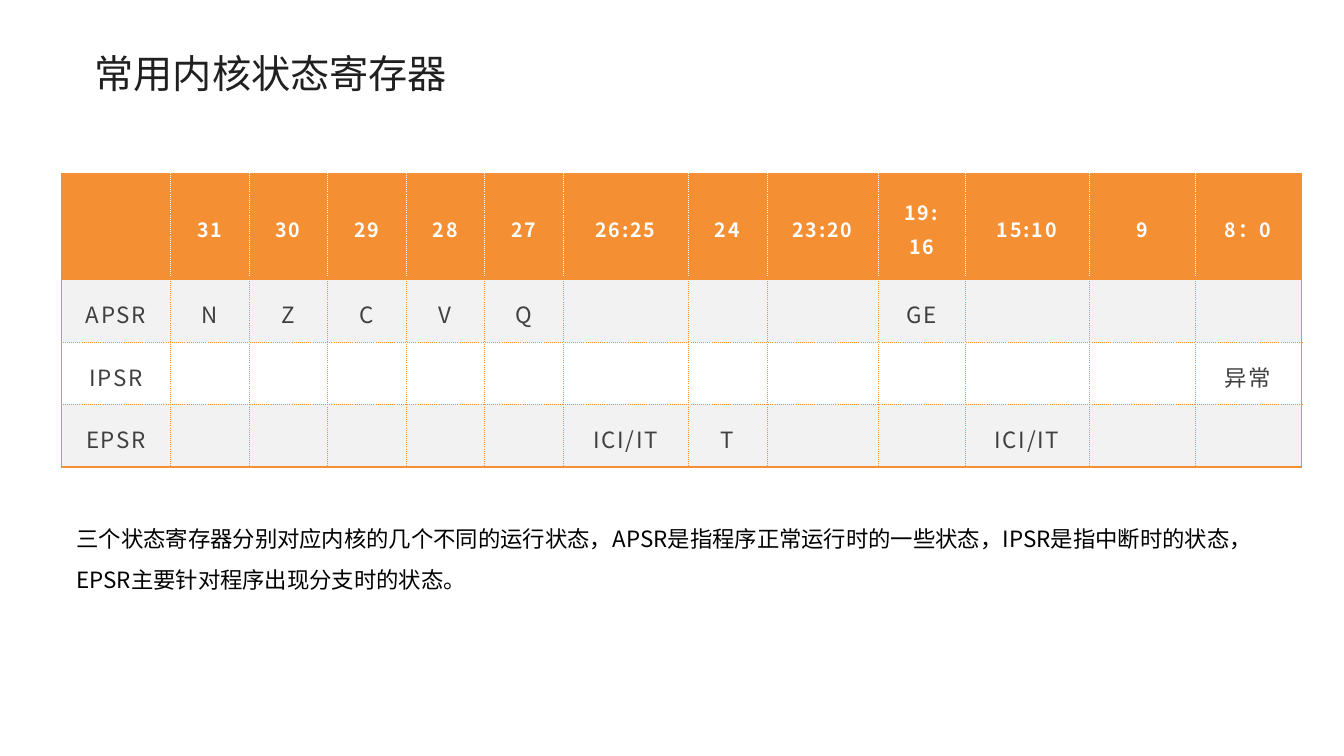
import pptx
import pptx.util
import pptx.dml.color
import pptx.enum.text
from pptx.util import Cm
from pptx.oxml.ns import qn
import lxml.etree

FONT = "Noto Sans CJK SC"
COLORS = {
    "title": "202020",
    "accent": "F58F33",
    "white": "FFFFFF",
    "band": "F2F2F2",
    "cell": "404040",
    "body": "000000",
}
TITLE = "常用内核状态寄存器"
SUMMARY = (
    "三个状态寄存器分别对应内核的几个不同的运行状态，APSR是指程序正常运行时的一些状态，"
    "IPSR是指中断时的状态，EPSR主要针对程序出现分支时的状态。"
)
BIT_FIELDS = ["", "31", "30", "29", "28", "27", "26:25", "24", "23:20",
              "19:16", "15:10", "9", "8：0"]
FIELD_WIDTHS = [2.74] + [1.98] * 5 + [3.15, 1.98, 2.82, 2.18, 3.12, 2.67, 2.69]
REGISTERS = {
    "APSR": {"31": "N", "30": "Z", "29": "C", "28": "V", "27": "Q", "19:16": "GE"},
    "IPSR": {"8：0": "异常"},
    "EPSR": {"26:25": "ICI/IT", "24": "T", "15:10": "ICI/IT"},
}
HEADER_HEIGHT = 2.67
REGISTER_HEIGHT = 1.55


def rgb(name):
    return pptx.dml.color.RGBColor.from_string(COLORS[name])


def write_text(frame, text, *, size, color, bold=False, align="LEFT",
               line_spacing=1.0, space_before=0, tracking=0):
    paragraph = frame.paragraphs[0]
    paragraph.alignment = getattr(pptx.enum.text.PP_ALIGN, align)
    paragraph.line_spacing = line_spacing
    paragraph.space_before = pptx.util.Pt(space_before)
    run = paragraph.add_run()
    run.text = text
    run.font.size = pptx.util.Pt(size)
    run.font.bold = bold
    run.font.color.rgb = rgb(color)
    run.font.name = FONT
    properties = run.font._element
    lxml.etree.SubElement(properties, qn("a:ea"), typeface=FONT)
    if tracking:
        properties.set("spc", str(round(tracking * 100)))


def set_borders(cell, edges):
    properties = cell._tc.get_or_add_tcPr()
    for position, side in enumerate("LRTB"):
        color, dotted = edges[side]
        width = pptx.util.Pt(0.25 if dotted else 1.5)
        line = lxml.etree.Element(qn(f"a:ln{side}"), w=str(int(width)))
        fill = lxml.etree.SubElement(line, qn("a:solidFill"))
        lxml.etree.SubElement(fill, qn("a:srgbClr"), val=COLORS[color])
        lxml.etree.SubElement(line, qn("a:prstDash"), val="dot" if dotted else "solid")
        properties.insert(position, line)


def cell_edges(row, column, last_row, last_column):
    solid = ("accent", False)
    dotted = ("accent", True)
    divider = ("white", True) if row == 0 else dotted
    return {
        "L": solid if column == 0 else divider,
        "R": solid if column == last_column else divider,
        "T": solid if row <= 1 else dotted,
        "B": solid if row in (0, last_row) else dotted,
    }


def add_title(slide, left, top, width, height):
    title = slide.shapes.title
    title.left, title.top, title.width, title.height = map(Cm, (left, top, width, height))
    frame = title.text_frame
    frame.word_wrap = True
    frame.auto_size = pptx.enum.text.MSO_AUTO_SIZE.NONE
    frame.vertical_anchor = pptx.enum.text.MSO_ANCHOR.MIDDLE
    write_text(frame, TITLE, size=28, color="title", line_spacing=0.9, space_before=10)


def add_register_table(slide, left, top):
    rows = [BIT_FIELDS] + [
        [register] + [flags.get(field, "") for field in BIT_FIELDS[1:]]
        for register, flags in REGISTERS.items()
    ]
    heights = [HEADER_HEIGHT] + [REGISTER_HEIGHT] * len(REGISTERS)
    table = slide.shapes.add_table(
        len(rows), len(BIT_FIELDS), Cm(left), Cm(top),
        Cm(sum(FIELD_WIDTHS)), Cm(sum(heights))).table
    table.horz_banding = False
    for column, width in zip(table.columns, FIELD_WIDTHS):
        column.width = Cm(width)
    for r, (values, height) in enumerate(zip(rows, heights)):
        table.rows[r].height = Cm(height)
        fill = "accent" if r == 0 else "band" if r % 2 else "white"
        style = (dict(size=14, color="white", bold=True, tracking=1.3) if r == 0
                 else dict(size=16, color="cell", tracking=1.2))
        for c, value in enumerate(values):
            cell = table.cell(r, c)
            cell.fill.solid()
            cell.fill.fore_color.rgb = rgb(fill)
            set_borders(cell, cell_edges(r, c, len(rows) - 1, len(values) - 1))
            cell.vertical_anchor = pptx.enum.text.MSO_ANCHOR.MIDDLE
            cell.margin_left = cell.margin_right = Cm(0.48)
            cell.margin_top = cell.margin_bottom = Cm(0.3)
            if value:
                write_text(cell.text_frame, value, align="CENTER", line_spacing=1.2, **style)


def add_summary(slide, left, top, width, height):
    summary = slide.shapes.add_textbox(*map(Cm, (left, top, width, height)))
    frame = summary.text_frame
    frame.word_wrap = True
    frame.auto_size = pptx.enum.text.MSO_AUTO_SIZE.SHAPE_TO_FIT_TEXT
    write_text(frame, SUMMARY, size=16, color="body", line_spacing=1.5)


def main():
    presentation = pptx.Presentation()
    presentation.slide_width = Cm(33.87)
    presentation.slide_height = Cm(19.05)
    slide = presentation.slides.add_slide(presentation.slide_layouts[5])
    add_title(slide, 2.13, 0.97, 10.74, 1.9)
    add_register_table(slide, 1.55, 4.37)
    add_summary(slide, 1.68, 12.78, 30.94, 2.31)
    presentation.save("out.pptx")


if __name__ == "__main__":
    main()
